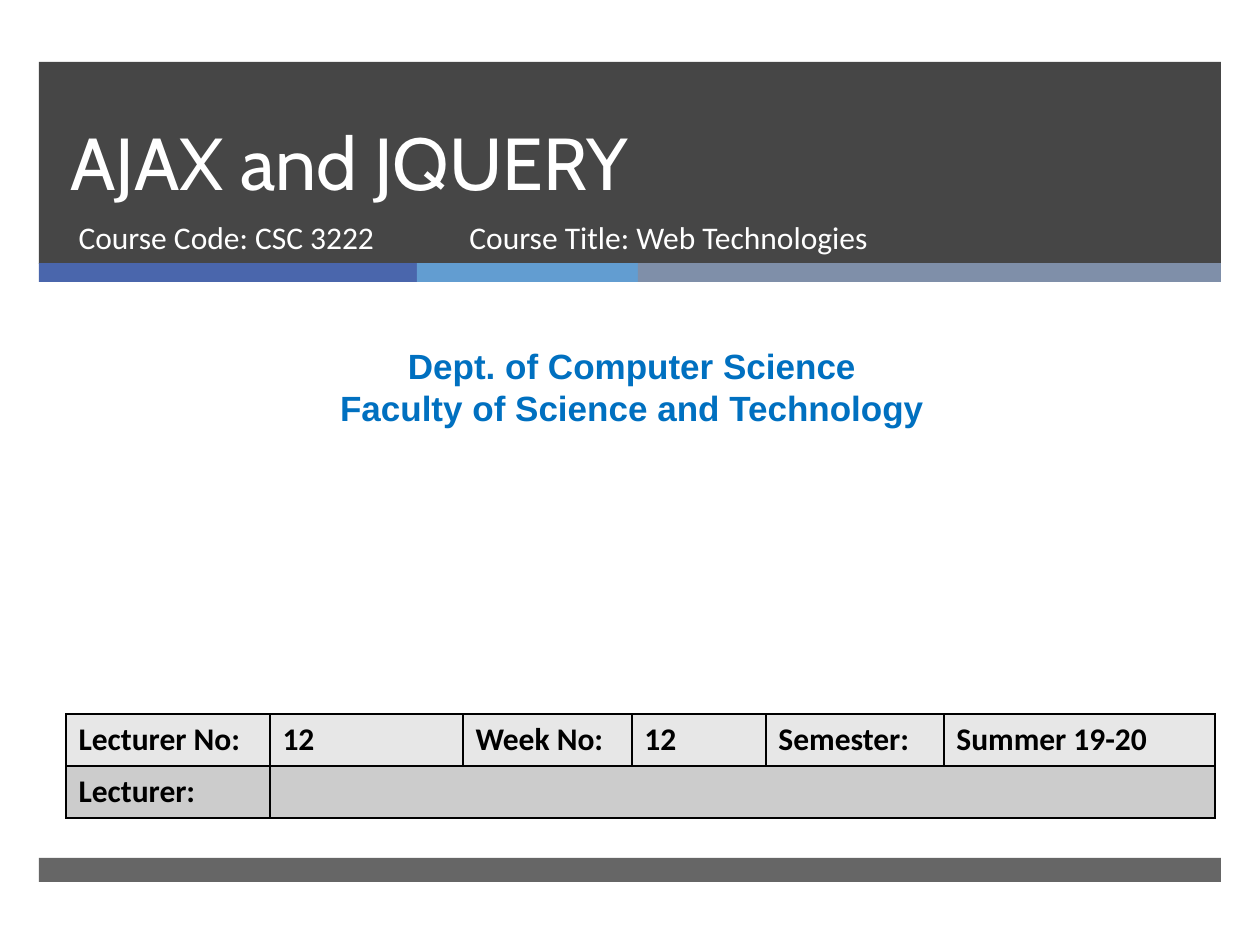
"""Build the title slide of the AJAX and JQUERY lecture."""
from lxml import etree
from pptx import Presentation
from pptx.dml.color import RGBColor
from pptx.enum.text import MSO_ANCHOR, MSO_AUTO_SIZE, PP_ALIGN
from pptx.enum.shapes import MSO_SHAPE
from pptx.oxml.ns import qn
from pptx.util import Pt

RECT = MSO_SHAPE.RECTANGLE
LEFT, CENTER = PP_ALIGN.LEFT, PP_ALIGN.CENTER
TOP, BOTTOM = MSO_ANCHOR.TOP, MSO_ANCHOR.BOTTOM
NO_FIT = MSO_AUTO_SIZE.NONE
PX = 914400 / 126

THEME = {
    "dark": "262626",
    "bars": ["4A66AC", "629DD1", "7F8FA9"],
    "rows": ["E7E7E7", "CCCCCC"],
    "border": "000000",
    "title": {"name": "Cabin", "size": Pt(42), "bold": False, "color": "FFFFFF"},
    "course": {"name": "Calibri", "size": Pt(18), "bold": False, "color": "FFFFFF"},
    "dept": {"name": "Arial", "size": Pt(20), "bold": True, "color": "0070C0"},
    "cell": {"name": "Calibri", "size": Pt(18), "bold": True, "color": "000000"},
}


def emu(*lengths):
    return [round(v * PX) for v in lengths]


def write(tf, lines, style, align=LEFT, anchor=TOP):
    tf.word_wrap = True
    tf.vertical_anchor = anchor
    for i, line in enumerate(lines):
        p = tf.paragraphs[0] if i == 0 else tf.add_paragraph()
        p.alignment = align
        p.space_before = Pt(0)
        r = p.add_run()
        r.text = line
        for key, value in THEME[style].items():
            if key == "color":
                r.font.color.rgb = RGBColor.from_string(value)
            else:
                setattr(r.font, key, value)


prs = Presentation()
prs.slide_width, prs.slide_height = emu(1260, 945)
s = prs.slides.add_slide(prs.slide_layouts[0])
tree = s.shapes._spTree

bands = [(39, 62, 1182, 202, THEME["dark"], 85)]
x = 39
for width, color in zip([378, 221, 583], THEME["bars"]):
    bands.append((x, 263, width, 19, color, 100))
    x += width
bands.append((39, 858, 1182, 24, THEME["dark"], 70))

for *box, color, opacity in bands:
    sp = s.shapes.add_shape(RECT, *emu(*box))
    sp.shadow.inherit = False
    sp.line.fill.background()
    sp.fill.solid()
    sp.fill.fore_color.rgb = RGBColor.from_string(color)
    if opacity < 100:
        clr = sp._element.spPr.find(qn("a:solidFill"))[0]
        etree.SubElement(clr, qn("a:alpha"), val=str(opacity * 1000))

title, subtitle = s.shapes.title, s.placeholders[1]
for sp, box in [(title, (58, 62, 1076, 150)), (subtitle, (66, 212, 384, 67))]:
    sp.left, sp.top, sp.width, sp.height = emu(*box)
    sp.text_frame.auto_size = NO_FIT
    tree.append(sp._element)
write(title.text_frame, ["AJAX and JQUERY"], "title", anchor=BOTTOM)
title.text_frame.paragraphs[0].line_spacing = Pt(46)
write(subtitle.text_frame, ["Course Code: CSC 3222"], "course")

sp = s.shapes.add_textbox(*emu(10, 338, 1244, 97))
write(sp.text_frame, ["Dept. of Computer Science", "Faculty of Science and Technology"],
      "dept", CENTER)

cols, row_height = [204, 193, 169, 134, 178, 271], 52
rows = [
    ["Lecturer No:", "12", "Week No:", "12", "Semester:", "Summer 19-20"],
    ["Lecturer:", "", "", "", "", ""],
]
frame = s.shapes.add_table(len(rows), len(cols),
                           *emu(66, 714, sum(cols), row_height * len(rows)))
table = frame.table
for col, width in zip(table.columns, cols):
    col.width = emu(width)[0]
for i, texts in enumerate(rows):
    table.rows[i].height = emu(row_height)[0]
    for j, text in enumerate(texts):
        cell = table.cell(i, j)
        tcPr = cell._tc.get_or_add_tcPr()
        for side in ("lnL", "lnR", "lnT", "lnB"):
            ln = etree.SubElement(tcPr, qn(f"a:{side}"), w=str(Pt(1)))
            fill = etree.SubElement(ln, qn("a:solidFill"))
            etree.SubElement(fill, qn("a:srgbClr"), val=THEME["border"])
        cell.fill.solid()
        cell.fill.fore_color.rgb = RGBColor.from_string(THEME["rows"][i])
        if text:
            write(cell.text_frame, [text], "cell")
table.cell(1, 1).merge(table.cell(1, 5))

sp = s.shapes.add_textbox(*emu(457, 212, 573, 67))
write(sp.text_frame, ["Course Title: Web Technologies"], "course")

prs.save("out.pptx")
